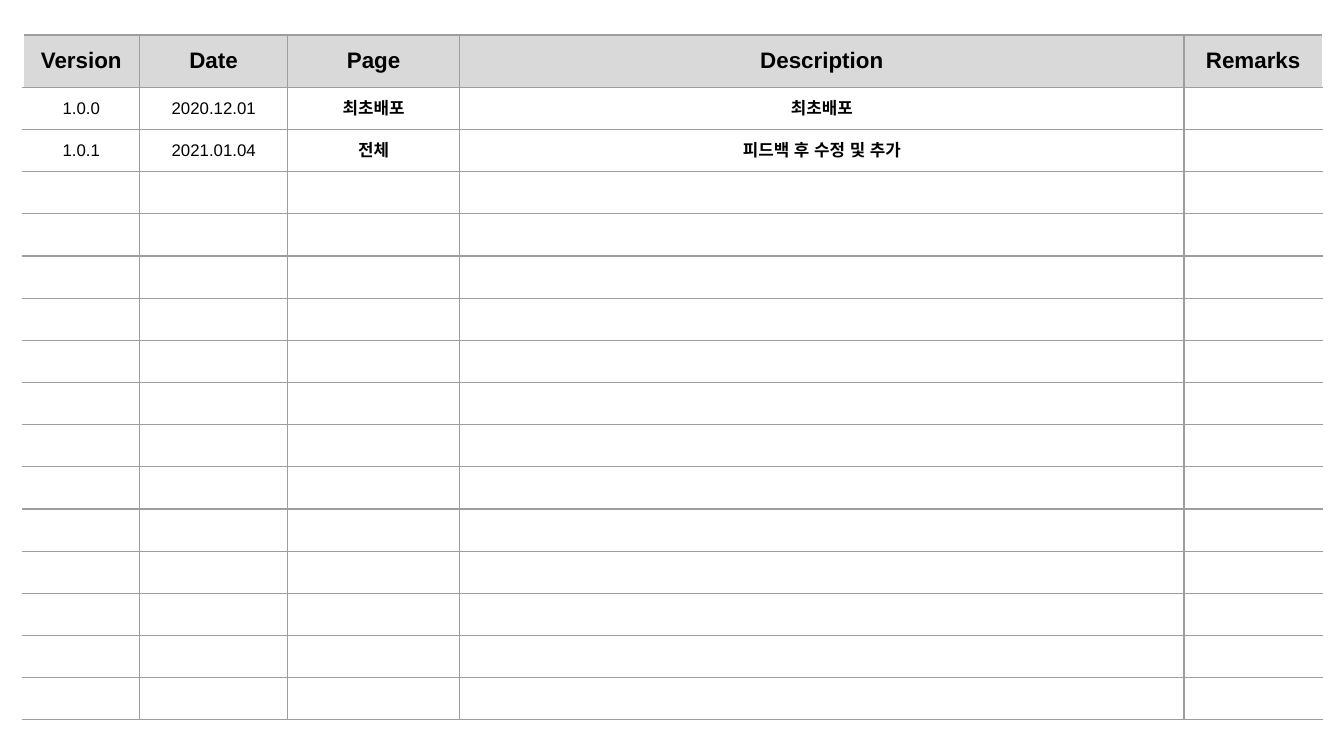
from lxml import etree
from pptx import Presentation
from pptx.dml.color import RGBColor
from pptx.enum.text import MSO_ANCHOR, PP_ALIGN
from pptx.oxml.ns import qn
from pptx.util import Inches, Pt

CENTER = PP_ALIGN.CENTER
MIDDLE = MSO_ANCHOR.MIDDLE

COLORS = {"text": "000000", "header": "D9D9D9", "rule": "9E9E9E"}
SLIDE_WIDTH = 10
SLIDE_HEIGHT = SLIDE_WIDTH * 9 / 16
TABLE_LEFT, TABLE_TOP, TABLE_HEIGHT = 0.17, 0.26, 5.1
HEADER_HEIGHT = 0.39
REVISION_ROWS = 15
COLUMN_WIDTHS = [0.87, 1.1, 1.28, 5.39, 1.03]
HEADINGS = ["Version", "Date", "Page", "Description", "Remarks"]
REVISIONS = [
    ["1.0.0", "2020.12.01", "최초배포", "최초배포"],
    ["1.0.1", "2021.01.04", "전체", "피드백 후 수정 및 추가"],
]
BOLD_COLUMNS = (2, 3)


def write_text(cell, text, size=9, bold=False, color="text", font="Arial"):
    """Write centred, formatted text into a cell, in one font for all scripts."""
    paragraph = cell.text_frame.paragraphs[0]
    paragraph.alignment = CENTER
    run = paragraph.add_run()
    run.text = text
    run.font.name = font
    run.font.size = Pt(size)
    run.font.bold = bold
    run.font.color.rgb = RGBColor.from_string(COLORS[color])
    for script in ("a:ea", "a:cs"):
        etree.SubElement(run.font._element, qn(script), typeface=font)


def draw_borders(cell, sides, width=0.75):
    """Rule the given sides of a cell."""
    properties = cell._tc.get_or_add_tcPr()
    for side in sides:
        line = etree.SubElement(properties, qn(f"a:ln{side}"), w=str(Pt(width)))
        fill = etree.SubElement(line, qn("a:solidFill"))
        etree.SubElement(fill, qn("a:srgbClr"), val=COLORS["rule"])


def format_cell(cell, sides, fill=None):
    """Set the margins, anchor, borders and fill of a cell."""
    cell.margin_left = cell.margin_right = 0
    cell.margin_top = cell.margin_bottom = 0
    cell.vertical_anchor = MIDDLE
    draw_borders(cell, sides)
    if fill:
        cell.fill.solid()
        cell.fill.fore_color.rgb = RGBColor.from_string(COLORS[fill])
    else:
        cell.fill.background()


def add_history_table(slide):
    """Add the empty, ruled revision table."""
    history = slide.shapes.add_table(
        REVISION_ROWS + 1, len(COLUMN_WIDTHS),
        Inches(TABLE_LEFT), Inches(TABLE_TOP),
        Inches(sum(COLUMN_WIDTHS)), Inches(TABLE_HEIGHT),
    ).table
    history.horz_banding = False
    for column, width in zip(history.columns, COLUMN_WIDTHS):
        column.width = Inches(width)
    revision_height = (TABLE_HEIGHT - HEADER_HEIGHT) / REVISION_ROWS
    last_column = len(COLUMN_WIDTHS) - 1
    for row_index, row in enumerate(history.rows):
        row.height = Inches(revision_height if row_index else HEADER_HEIGHT)
        for column_index, cell in enumerate(row.cells):
            left = "L" if column_index > 0 else ""
            right = "R" if column_index < last_column else ""
            format_cell(cell, left + right + "TB", None if row_index else "header")
    return history


def main():
    """Build the revision history slide."""
    presentation = Presentation()
    presentation.slide_width = Inches(SLIDE_WIDTH)
    presentation.slide_height = Inches(SLIDE_HEIGHT)
    slide = presentation.slides.add_slide(presentation.slide_layouts[6])
    history = add_history_table(slide)
    for column, heading in enumerate(HEADINGS):
        write_text(history.cell(0, column), heading, size=12, bold=True)
    for row, revision in enumerate(REVISIONS, start=1):
        for column, entry in enumerate(revision):
            write_text(history.cell(row, column), entry, bold=column in BOLD_COLUMNS)
    presentation.save("out.pptx")


if __name__ == "__main__":
    main()
